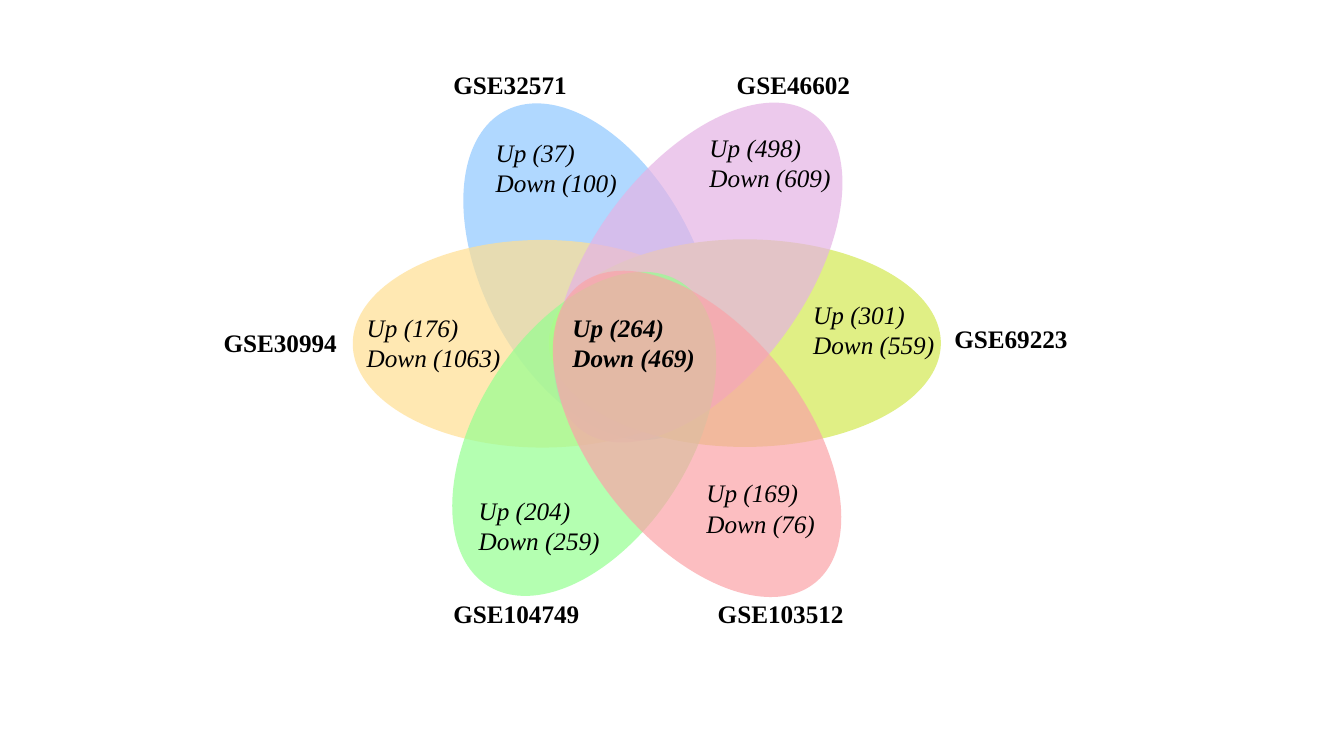
"""Draw a six-set Venn diagram of up- and down-regulated genes."""
from lxml.etree import SubElement
from pptx import Presentation
from pptx.dml.color import RGBColor
from pptx.enum.shapes import MSO_SHAPE as Shape
from pptx.oxml.ns import qn
from pptx.util import Pt


def rgb(value):
    return RGBColor.from_string(value)


class Venn:
    font, size, ink = "Times New Roman", 18, "000000"

    def __init__(self, prs):
        self.s = prs.slides.add_slide(prs.slide_layouts[6])

    def petal(self, x, y, w, h, angle, color, alpha):
        sp = self.s.shapes.add_shape(Shape.OVAL, Pt(x), Pt(y), Pt(w), Pt(h))
        sp.rotation = angle
        sp.shadow.inherit = False
        sp.line.fill.background()
        sp.fill.solid()
        sp.fill.fore_color.rgb = rgb(color)
        if alpha < 100:
            clr = sp.fill._xPr.find(".//" + qn("a:srgbClr"))
            SubElement(clr, qn("a:alpha")).set("val", str(alpha * 1000))

    def text(self, x, y, w, h, lines, bold=False, italic=False):
        tf = self.s.shapes.add_textbox(Pt(x), Pt(y), Pt(w), Pt(h)).text_frame
        tf.word_wrap = True
        p = tf.paragraphs[0]
        for i, line in enumerate(lines):
            if i:
                p.add_line_break()
            r = p.add_run()
            r.text = line
            r.font.name, r.font.size = self.font, Pt(self.size)
            r.font.bold, r.font.italic = bold, italic
            r.font.color.rgb = rgb(self.ink)

    def counts(self, x, y, up, down, bold=False):
        w = 124 if down > 999 else 106.6
        lines = f"Up ({up})", f"Down ({down})"
        self.text(x, y, w, 51, lines, bold=bold, italic=True)

    def label(self, x, y, name):
        self.text(x, y, 108, 29, [name], bold=True)


def main():
    prs = Presentation()
    prs.slide_width, prs.slide_height = Pt(960), Pt(540)
    venn = Venn(prs)
    for petal in (
        (345.6, 64.1, 152, 260, 332.1, "8FC8FF", 70),
        (313.2, 110.2, 148.3, 270.7, 270, "FFDF92", 70),
        (457.9, 105.1, 148.3, 280, 90, "E0EF85", 100),
        (422.6, 54.7, 152, 280, 36.4, "E5B3E4", 70),
        (341.3, 181.4, 152, 257, 212.6, "95FF91", 70),
        (421.9, 174.2, 152, 271.4, 141.8, "FBA3A8", 70),
    ):
        venn.petal(*petal)
    for counts in (
        (347, 94.3, 37, 100),
        (499.7, 90.7, 498, 609),
        (254.9, 219.6, 176, 1063),
        (334.8, 350, 204, 259),
        (497.5, 337.7, 169, 76),
        (573.8, 210.2, 301, 559),
        (401.8, 219.6, 264, 469, True),
    ):
        venn.counts(*counts)
    for label in (
        (152.6, 230.4, "GSE30994"),
        (316.8, 46, "GSE32571"),
        (519.2, 46, "GSE46602"),
        (674.6, 227.5, "GSE69223"),
        (316.8, 424, "GSE104749"),
        (505.6, 424, "GSE103512"),
    ):
        venn.label(*label)
    prs.save("out.pptx")


if __name__ == "__main__":
    main()
